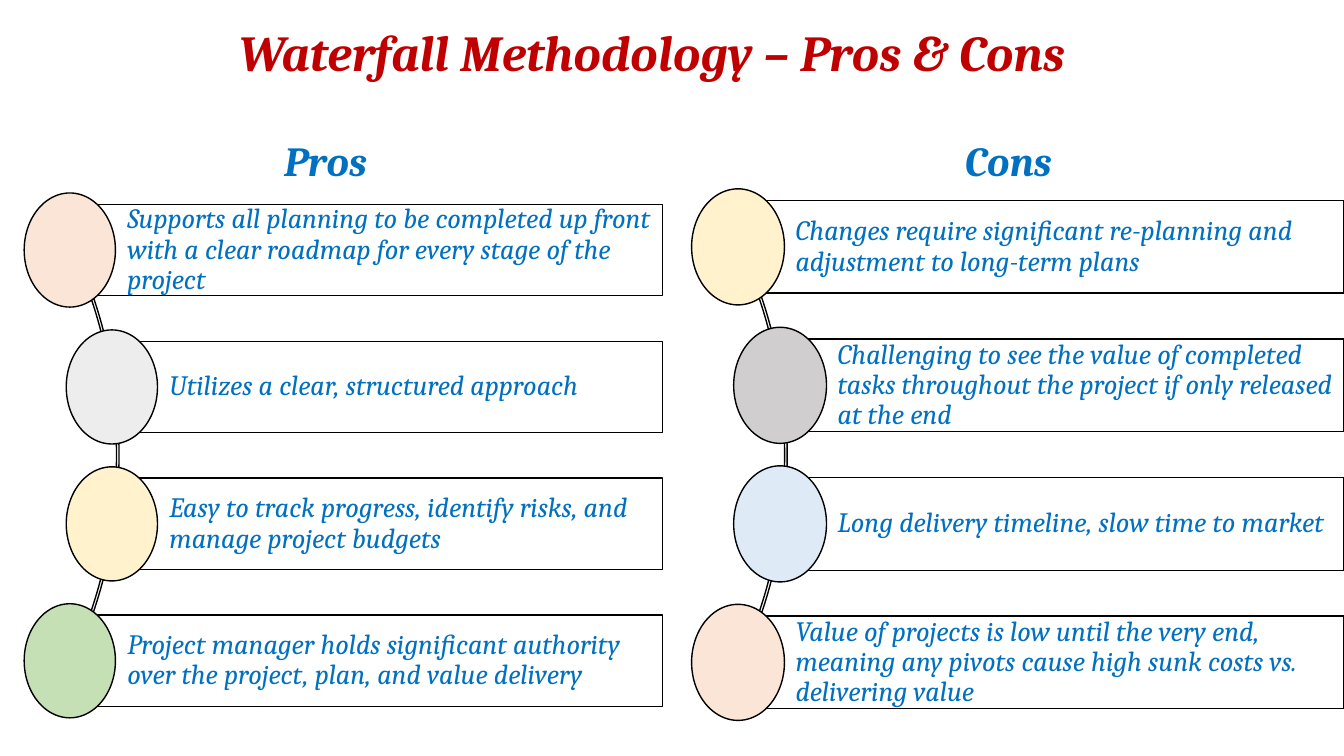
"""Build the Waterfall pros and cons slide."""
from pptx import Presentation
from pptx import util as u
from pptx.dml.color import RGBColor
from pptx.enum import shapes, text

COLORS = {
    "title": "C00000", "text": "0070C0", "line": "000000", "white": "FFFFFF",
    "peach": "FBE5D6", "silver": "EDEDED", "cream": "FFF2CC",
    "green": "C5E0B4", "gray": "D0CECE", "ice": "DEEBF7",
}
SHAPE = shapes.MSO_SHAPE
ANCHOR = text.MSO_ANCHOR
INDENT = 1.06


class Deck:
    """Hold the style and the current slide."""

    font = "Cambria"

    def __init__(self):
        """Start a widescreen deck with one blank slide."""
        self.prs = Presentation()
        self.prs.slide_width, self.prs.slide_height = u.Cm(33.87), u.Cm(19.05)
        self.s = self.prs.slides.add_slide(self.prs.slide_layouts[6])

    def rgb(self, name):
        """Return a named colour."""
        return RGBColor.from_string(COLORS[name])

    def label(self, sp, words, size, color="text", bold=False, spacing=0.9,
              align=text.PP_ALIGN.LEFT, anchor=ANCHOR.MIDDLE,
              insets=(0.25, 0.13, 0.25, 0.13)):
        """Fill a shape with one italic paragraph."""
        tf = sp.text_frame
        tf.word_wrap = True
        tf.vertical_anchor = anchor
        (tf.margin_left, tf.margin_top,
         tf.margin_right, tf.margin_bottom) = map(u.Cm, insets)
        p = tf.paragraphs[0]
        p.alignment, p.line_spacing = align, spacing
        r = p.add_run()
        r.text = words
        r.font.name, r.font.size = self.font, u.Pt(size)
        r.font.bold, r.font.italic = bold, True
        r.font.color.rgb = self.rgb(color)

    def heading(self, box, words, size, **style):
        """Add a centred bold heading."""
        sp = self.s.shapes.add_textbox(*map(u.Cm, box))
        self.label(sp, words, size, bold=True,
                   align=text.PP_ALIGN.CENTER, **style)

    def shape(self, kind, box, fill=None):
        """Add an outlined preset shape."""
        sp = self.s.shapes.add_shape(kind, *map(u.Cm, box))
        sp.shadow.inherit = False
        sp.line.color.rgb, sp.line.width = self.rgb("line"), u.Pt(1)
        if fill:
            sp.fill.solid()
            sp.fill.fore_color.rgb = self.rgb(fill)
        else:
            sp.fill.background()
        return sp

    def arc(self, box):
        """Add the thin arc that links the circles."""
        sp = self.shape(SHAPE.BLOCK_ARC, box)
        for i, value in enumerate((189, 27, 0.004)):
            sp.adjustments[i] = value

    def item(self, left, top, right, height, fill, words):
        """Add a text bar with an oval centred on its left side."""
        bar = self.shape(SHAPE.RECTANGLE,
                         (left, top, right - left, height), "white")
        self.label(bar, words, 20, insets=(1.45, 0.13, 0.13, 0.13))
        self.shape(SHAPE.OVAL, (left - height / 2, top - height / 8,
                                height, height * 1.25), fill)

    def column(self, title, title_box, arc_box, left, right, top, pitch,
               height, items):
        """Add a heading and its curved list."""
        self.heading(title_box, title, 29.6, spacing=0.8, anchor=ANCHOR.BOTTOM)
        self.arc(arc_box)
        for i, (fill, words) in enumerate(items):
            shift = INDENT if i in (1, 2) else 0
            self.item(left + shift, top + i * pitch, right, height, fill, words)


def main():
    """Build and save the slide."""
    deck = Deck()
    deck.column(
        "Pros", (1.04, 3.43, 14.33, 1.35), (-12.95, 1.4, 15.95, 20.12),
        left=1.76, right=16.69, top=5.15, pitch=3.45, height=2.3, items=[
            ("peach", "Supports all planning to be completed up front with a "
                      "clear roadmap for every stage of the project"),
            ("silver", "Utilizes a clear, structured approach"),
            ("cream", "Easy to track progress, identify risks, and manage "
                      "project budgets"),
            ("green", "Project manager holds significant authority over the "
                      "project, plan, and value delivery"),
        ])
    deck.column(
        "Cons", (18.21, 3.43, 14.4, 1.35), (3.53, 1.27, 16.31, 20.4),
        left=18.6, right=33.87, top=5.05, pitch=3.49, height=2.34, items=[
            ("cream", "Changes require significant re-planning and adjustment "
                      "to long-term plans"),
            ("gray", "Challenging to see the value of completed tasks "
                     "throughout the project if only released at the end"),
            ("ice", "Long delivery timeline, slow time to market"),
            ("peach", "Value of projects is low until the very end, meaning "
                      "any pivots cause high sunk costs vs. delivering value"),
        ])
    deck.heading((5.59, 0.56, 21.67, 1.65),
                 "Waterfall Methodology – Pros & Cons", 36, color="title")
    deck.prs.save("out.pptx")


if __name__ == "__main__":
    main()
